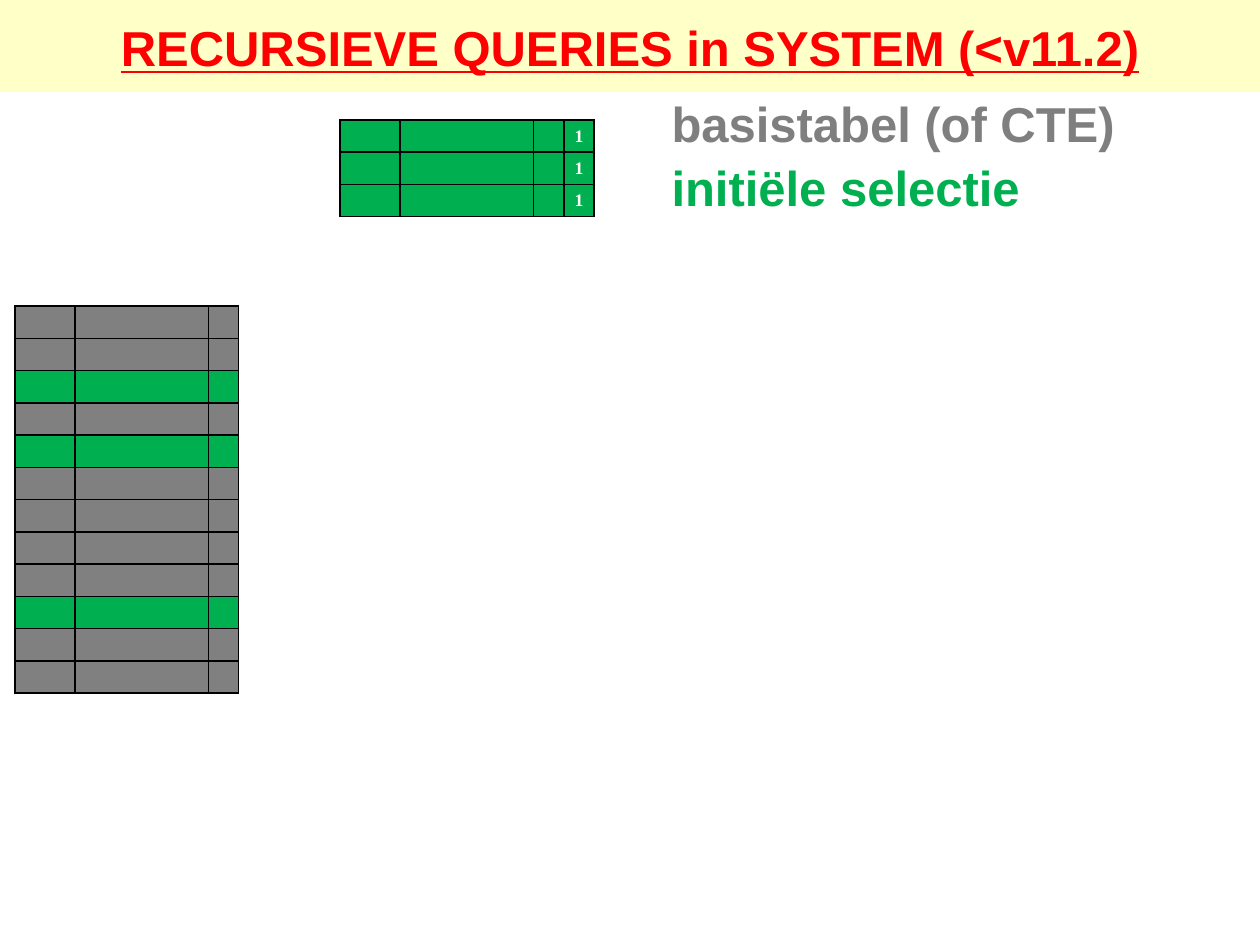
from dataclasses import dataclass

import pptx
import pptx.dml.color
import pptx.enum.shapes
import pptx.enum.text
import pptx.oxml
import pptx.oxml.ns
import pptx.util

Inch = pptx.util.Inches
Pt = pptx.util.Pt
Text = pptx.enum.text

HUES = {"cream": "FFFFC8", "red": "FF0000", "text": "7F7F7F", "gray": "808080",
        "green": "00B050", "white": "FFFFFF", "black": "000000"}
WIDE, HIGH = 10, 7.5
COLS = [0.475, 1.06, 0.24, 0.24]  # shared column widths, in inches
ROW = 0.256
HEAD = {"name": "Arial", "size": Pt(28), "bold": True}
MARK = {"name": "Times New Roman", "size": Pt(10), "bold": True}


@dataclass
class Grid:
    left: float  # share of slide width
    top: float   # share of slide height
    cols: int
    rows: list[str]  # hue of each row
    last: str = ""   # text in the last column


def color(hue: str):
    return pptx.dml.color.RGBColor.from_string(HUES[hue])


def apply(item, form: dict) -> None:
    for key, val in form.items():
        setattr(item, key, val)


def place(shape, left: float, top: float, wide: float, high: float) -> None:
    """Set the frame from shares of the slide's size."""
    apply(shape, {"left": Inch(left * WIDE), "top": Inch(top * HIGH),
                  "width": Inch(wide * WIDE), "height": Inch(high * HIGH)})


def write(par, text: str, form: dict, hue: str) -> None:
    run = par.add_run()
    run.text = text
    apply(run.font, form)
    run.font.color.rgb = color(hue)


def border(cell) -> None:
    props = cell._tc.get_or_add_tcPr()
    for side in "LRTB":
        props.append(pptx.oxml.parse_xml(
            f'<a:ln{side} {pptx.oxml.ns.nsdecls("a")} w="12700"><a:solidFill>'
            f'<a:srgbClr val="{HUES["black"]}"/></a:solidFill></a:ln{side}>'))


def fill_cell(cell, hue: str, text: str) -> None:
    border(cell)
    cell.fill.solid()
    cell.fill.fore_color.rgb = color(hue)
    apply(cell, {"margin_left": Inch(0.02), "margin_right": Inch(0.02),
                 "margin_top": Inch(0.04), "margin_bottom": Inch(0.04),
                 "vertical_anchor": Text.MSO_ANCHOR.MIDDLE})
    par = cell.text_frame.paragraphs[0]
    par.alignment = Text.PP_ALIGN.CENTER
    if text:
        write(par, text, MARK, "white")
    else:  # keep empty rows low
        end = pptx.oxml.ns.qn("a:endParaRPr")
        par._p.append(par._p.makeelement(end, {"sz": "1000"}))


def draw_grid(slide, grid: Grid) -> None:
    wide = COLS[:grid.cols]
    table = slide.shapes.add_table(
        len(grid.rows), grid.cols, Inch(grid.left * WIDE), Inch(grid.top * HIGH),
        Inch(sum(wide)), Inch(ROW * len(grid.rows))).table
    apply(table, {"first_row": False, "horz_banding": False})
    for col, size in zip(table.columns, wide):
        col.width = Inch(size)
    for row, hue in zip(table.rows, grid.rows):
        row.height = Inch(ROW)
        for num, cell in enumerate(row.cells, 1):
            fill_cell(cell, hue, grid.last if num == grid.cols else "")


def draw_band(slide) -> None:
    band = slide.shapes.add_shape(pptx.enum.shapes.MSO_SHAPE.RECTANGLE, 0, 0, 0, 0)
    place(band, 0, 0, 1, 0.0973)
    band.shadow.inherit = False
    band.fill.solid()
    band.fill.fore_color.rgb = color("cream")
    band.line.fill.background()
    slide.shapes._spTree.insert(2, band._element)  # behind the title


def draw_title(slide, text: str) -> None:
    title = slide.shapes.title
    place(title, 0, 0, 1, 0.1)
    apply(title.text_frame, {"auto_size": Text.MSO_AUTO_SIZE.NONE,
                             "vertical_anchor": Text.MSO_ANCHOR.MIDDLE})
    par = title.text_frame.paragraphs[0]
    par.alignment = Text.PP_ALIGN.CENTER
    write(par, text, HEAD | {"underline": True}, "red")


def draw_list(slide, lines: list[tuple[str, str]]) -> None:
    body = slide.placeholders[1]
    place(body, 0.523, 0.0973, 0.477, 0.9027)
    frame = body.text_frame
    frame.auto_size = Text.MSO_AUTO_SIZE.NONE
    for num, (text, hue) in enumerate(lines):
        par = frame.add_paragraph() if num else frame.paragraphs[0]
        apply(par, {"line_spacing": Pt(31), "space_before": Pt(5.6)})
        props = par._p.get_or_add_pPr()
        props.set("marL", "0")
        props.set("indent", "0")
        props.append(props.makeelement(pptx.oxml.ns.qn("a:buNone")))
        write(par, text, HEAD, hue)


def main() -> None:
    deck = pptx.Presentation()
    apply(deck, {"slide_width": Inch(WIDE), "slide_height": Inch(HIGH)})
    slide = deck.slides.add_slide(deck.slide_layouts[1])

    # Heading and legend
    draw_band(slide)
    draw_title(slide, "RECURSIEVE QUERIES in SYSTEM (<v11.2)")
    draw_list(slide, [("basistabel (of CTE)", "text"),
                      ("initiële selectie", "green")])

    # Selected rows with their level, then the base table
    picks = {2, 4, 9}
    base = ["green" if num in picks else "gray" for num in range(12)]
    draw_grid(slide, Grid(0.27, 0.127, 4, ["green"] * len(picks), "1"))
    draw_grid(slide, Grid(0.012, 0.324, 3, base))

    deck.save("out.pptx")


if __name__ == "__main__":
    main()
